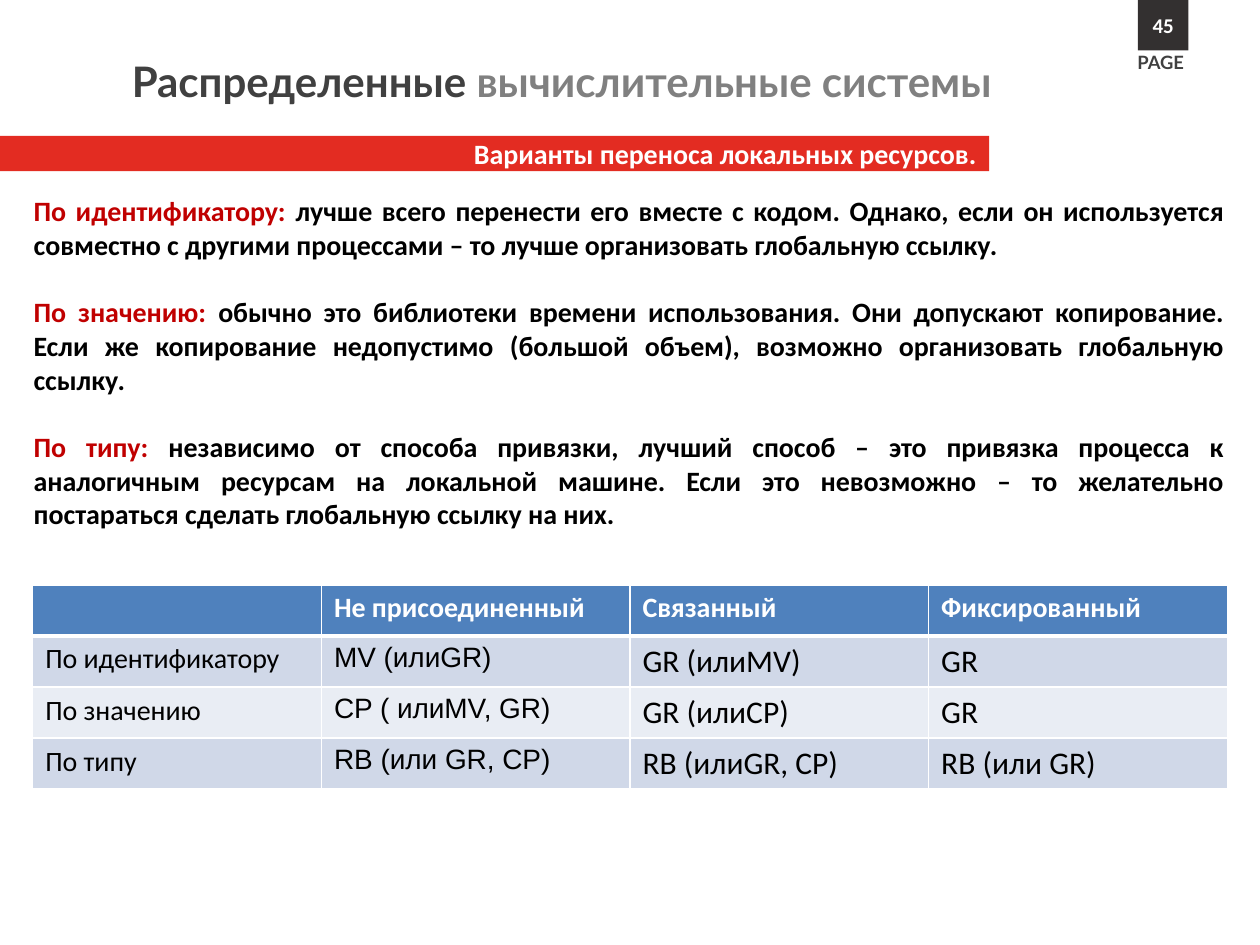
from lxml import etree
from pptx import Presentation
from pptx import util as u
from pptx.dml.color import RGBColor
from pptx.enum import shapes, text
from pptx.oxml.ns import qn

WHITE = RGBColor(0xFF, 0xFF, 0xFF)
BLACK = RGBColor(0, 0, 0)
RED = RGBColor(0xE3, 0x2C, 0x22)
DARK_RED = RGBColor(0xC0, 0, 0)
CHARCOAL = RGBColor(0x33, 0x30, 0x30)
DARK_GRAY = RGBColor(0x40, 0x40, 0x40)
GRAY = RGBColor(0x80, 0x80, 0x80)
HEADER_BLUE = RGBColor(0x4F, 0x81, 0xBD)
BANDS = (RGBColor(0xD0, 0xD8, 0xE8), RGBColor(0xE9, 0xED, 0xF4))

RESOURCE_TYPES = [
    ("По идентификатору: ",
     "лучше всего перенести его вместе с кодом. Однако, если он используется "
     "совместно с другими процессами – то лучше организовать глобальную ссылку."),
    ("По значению: ",
     "обычно это библиотеки времени использования. Они допускают копирование. "
     "Если же копирование недопустимо (большой объем), возможно организовать "
     "глобальную ссылку."),
    ("По типу: ",
     "независимо от способа привязки, лучший способ – это привязка процесса к "
     "аналогичным ресурсам на локальной машине. Если это невозможно – то "
     "желательно постараться сделать глобальную ссылку на них."),
]
BINDINGS = [
    ("", "Не присоединенный", "Связанный", "Фиксированный"),
    ("По идентификатору", "MV (илиGR)", "GR (илиMV)", "GR"),
    ("По значению", "CP ( илиMV, GR)", "GR (илиCP)", "GR"),
    ("По типу", "RB (или GR, CP)", "RB (илиGR, CP)", "RB (или GR)"),
]
COLUMN_WIDTHS = (5.82, 6.22, 6.02, 6.02)
ROW_HEIGHT = 1.03
# Font and size of the body cells in each column
COLUMN_FONTS = (("Calibri", 16), ("Arial", 16), ("Calibri", 18), ("Calibri", 18))


class SlideBuilder:
    body_font = "Calibri"
    title_font = "Lato"

    def __init__(self, slide):
        self.slide = slide

    def format_run(self, run, size, color, font=None, bold=True):
        run.font.name = font or self.body_font
        run.font.size = u.Pt(size)
        run.font.bold = bold
        run.font.color.rgb = color

    def add_runs(self, paragraph, parts, size, font=None):
        for words, color in parts:
            run = paragraph.add_run()
            run.text = words
            self.format_run(run, size, color, font)

    def title(self, box, parts):
        title = self.slide.shapes.title
        title.left, title.top, title.width, title.height = map(u.Cm, box)
        frame = title.text_frame
        frame.auto_size = text.MSO_AUTO_SIZE.NONE
        frame.vertical_anchor = text.MSO_ANCHOR.TOP
        paragraph = frame.paragraphs[0]
        paragraph.alignment = text.PP_ALIGN.RIGHT
        self.add_runs(paragraph, parts, 24, self.title_font)

    def block(self, box, words, size, fill, alignment):
        shape = self.slide.shapes.add_shape(
            shapes.MSO_SHAPE.RECTANGLE, *map(u.Cm, box))
        shape.shadow.inherit = False
        shape.fill.solid()
        shape.fill.fore_color.rgb = fill
        shape.line.fill.background()
        frame = shape.text_frame
        frame.text = words
        frame.vertical_anchor = text.MSO_ANCHOR.MIDDLE
        paragraph = frame.paragraphs[0]
        paragraph.alignment = alignment
        self.format_run(paragraph.runs[0], size, WHITE)

    def label(self, box, words, size, color):
        frame = self.slide.shapes.add_textbox(*map(u.Cm, box)).text_frame
        frame.word_wrap = False
        frame.text = words
        self.format_run(frame.paragraphs[0].runs[0], size, color, self.title_font)

    def definitions(self, box, items, size, gap):
        frame = self.slide.shapes.add_textbox(*map(u.Cm, box)).text_frame
        frame.word_wrap = True
        for index, (term, meaning) in enumerate(items):
            paragraph = frame.add_paragraph() if index else frame.paragraphs[0]
            paragraph.alignment = text.PP_ALIGN.JUSTIFY
            if index:
                paragraph.space_before = u.Pt(gap)
            self.add_runs(paragraph, [(term, DARK_RED), (meaning, BLACK)], size)

    def cell_borders(self, cell, top, bottom):
        properties = cell._tc.get_or_add_tcPr()
        for side, points in (("L", 1), ("R", 1), ("T", top), ("B", bottom)):
            line = etree.SubElement(
                properties, qn(f"a:ln{side}"), w=str(u.Pt(points)))
            fill = etree.SubElement(line, qn("a:solidFill"))
            etree.SubElement(fill, qn("a:srgbClr"), val=str(WHITE))

    def table(self, left, top, rows, widths, row_height):
        table = self.slide.shapes.add_table(
            len(rows), len(widths), u.Cm(left), u.Cm(top),
            u.Cm(sum(widths)), u.Cm(row_height * len(rows))).table
        for column, width in zip(table.columns, widths):
            column.width = u.Cm(width)
        for row_index, row in enumerate(rows):
            table.rows[row_index].height = u.Cm(row_height)
            header = row_index == 0
            for column_index, words in enumerate(row):
                cell = table.cell(row_index, column_index)
                self.cell_borders(cell, 3 if row_index == 1 else 1,
                                  3 if header else 1)
                cell.fill.solid()
                cell.fill.fore_color.rgb = (
                    HEADER_BLUE if header else BANDS[(row_index - 1) % 2])
                cell.text_frame.text = words
                font, size = (
                    (self.body_font, 16) if header else COLUMN_FONTS[column_index])
                for run in cell.text_frame.paragraphs[0].runs:
                    self.format_run(run, size, WHITE if header else BLACK,
                                    font, header)


def main():
    presentation = Presentation()
    presentation.slide_width = u.Cm(25.4)
    presentation.slide_height = u.Cm(19.05)
    builder = SlideBuilder(
        presentation.slides.add_slide(presentation.slide_layouts[5]))

    # Title and subtitle bar
    builder.title((0.38, 0.99, 19.86, 1.27),
                  [("Распределенные ", DARK_GRAY),
                   ("вычислительные системы", GRAY)])
    builder.block((0, 2.74, 19.94, 0.71), "Варианты переноса локальных ресурсов.",
                  16, RED, text.PP_ALIGN.RIGHT)

    # Page marker
    builder.label((22.68, 0.91, 1.5, 0.71), "PAGE", 10.5, DARK_GRAY)
    builder.block((22.94, 0, 1.02, 1.02), "45", 12, CHARCOAL, text.PP_ALIGN.CENTER)

    # Explanations and summary table
    builder.definitions((0.43, 3.78, 24.51, 7.09), RESOURCE_TYPES, 16, 19.5)
    builder.table(0.66, 11.79, BINDINGS, COLUMN_WIDTHS, ROW_HEIGHT)

    presentation.save("out.pptx")


if __name__ == "__main__":
    main()
